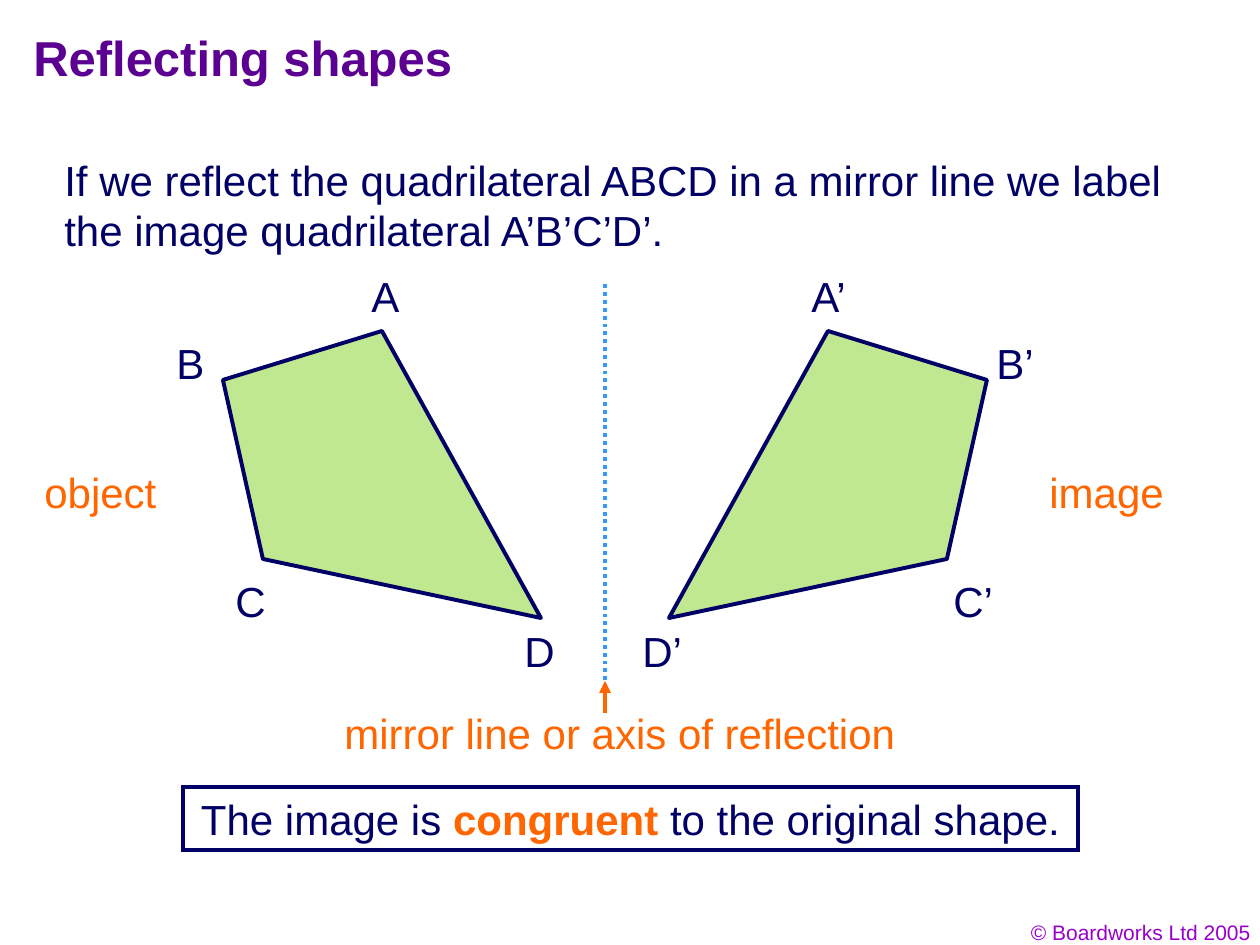
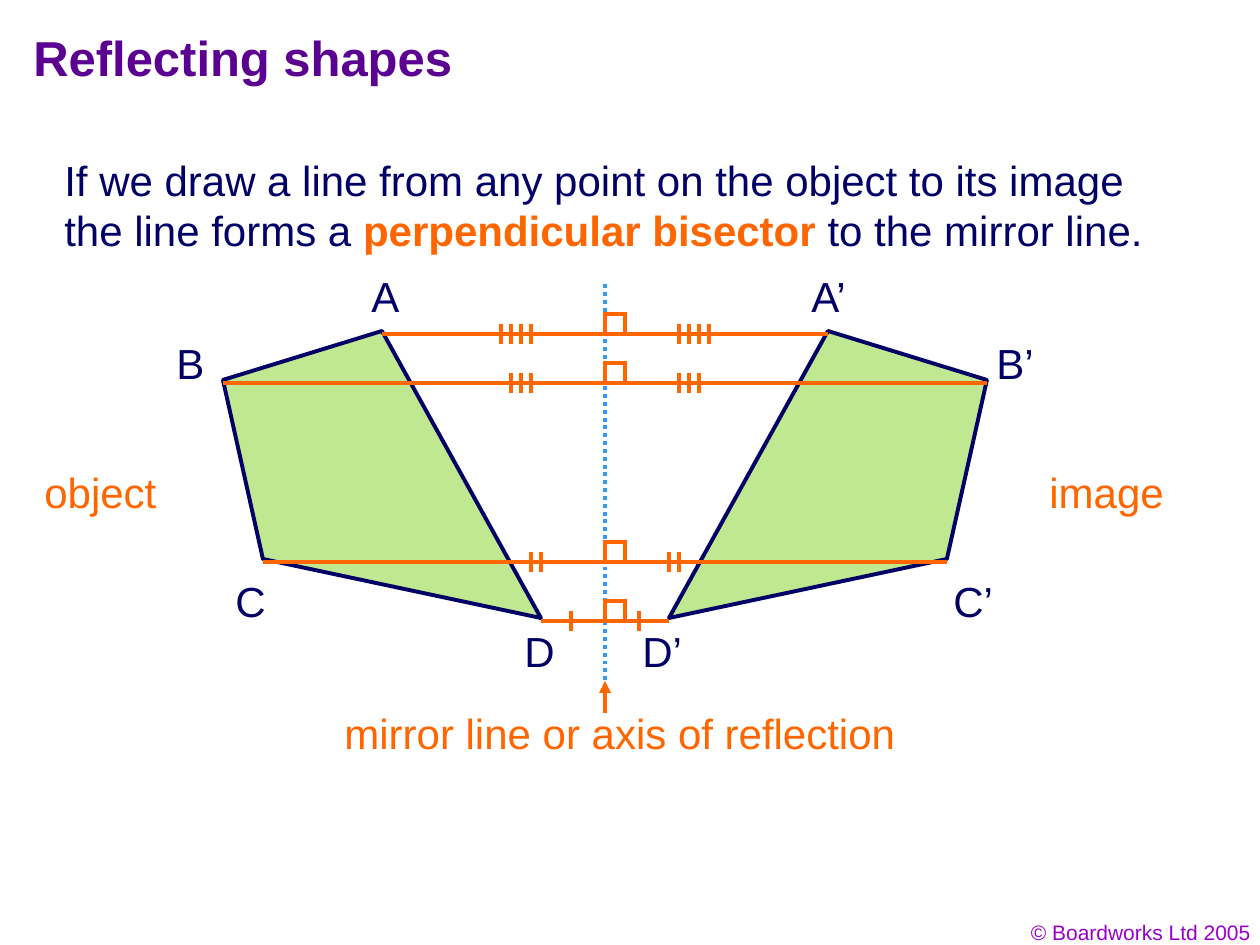
from dataclasses import dataclass

from lxml import etree
from pptx import Presentation
from pptx.dml.color import RGBColor
from pptx.enum import dml, shapes, text
from pptx.oxml import ns
from pptx.util import Emu, Pt

TITLE = "Reflecting shapes"
FOOTER = "© Boardworks Ltd 2005"
REFLECTING = ["If we reflect the quadrilateral ABCD in a mirror line we label "
              "the image quadrilateral A’B’C’D’."]
BISECTING = ["If we draw a line from any point on the object to its image the line forms a ",
             ("perpendicular bisector",), " to the mirror line."]
CONGRUENT = ["The image is ", ("congruent",), " to the original shape."]

VERTICES = {"A": (382, 331), "B": (223, 380), "C": (263, 559), "D": (541, 618)}
VERTEX_LABELS = [
    ("A", (359, 264, 56, 63)), ("B", (164, 331, 56, 63)),
    ("C", (223, 569, 58, 63)), ("D", (512, 619, 58, 63)),
    ("A’", (799, 264, 68, 63)), ("B’", (984, 331, 68, 63)),
    ("C’", (941, 569, 70, 63)), ("D’", (630, 619, 70, 63)),
]
PART_LABELS = [
    ("object", (32, 460, 140, 63)),
    ("image", (1037, 460, 142, 63)),
    ("mirror line or axis of reflection", (332, 701, 578, 63)),
]
BISECTORS = {"A": (4, 531), "B": (3, 531), "C": (2, 541), "D": (1, 571)}

SLIDE_SIZE = (1260, 945)
TITLE_BOX = (21, 21, 1071, 84)
BODY_BOX = (52, 148, 1144, 113)
CONGRUENT_BOX = (183, 787, 895, 63)
FOOTER_BOX = (969, 913, 294, 38)
MIRROR_X = 605
MIRROR_TOP, MIRROR_BOTTOM = 281, 688
ARROW_TOP, ARROW_BOTTOM = 681, 713
BISECTOR_DROP = 3
TICK_GAP = 10
TICK_REACH = 10
SQUARE_SIDE = 20
EMU_PER_PX = 914400 / 126


@dataclass(frozen=True)
class Theme:
    font: str = "Arial"
    title: str = "5B0091"
    body: str = "010066"
    accent: str = "FF6600"
    footer: str = "9900CC"
    outline: str = "000066"
    fill: str = "C0E890"
    mirror: str = "3399FF"
    title_size: int = 28
    body_size: int = 24
    footer_size: int = 12
    line_width: float = 2.25


THEME = Theme()


def px(length):
    return Emu(round(length * EMU_PER_PX))


def rgb(color):
    return RGBColor.from_string(color)


def style_line(line, color):
    line.color.rgb = rgb(color)
    line.width = Pt(THEME.line_width)


def add_text(page, box, spans, size=THEME.body_size, color=THEME.body, bold=False,
             align=text.PP_ALIGN.LEFT, wrap=True, grow=True, outline=None):
    if outline:
        shape = add_rectangle(page, box, outline)
    else:
        shape = page.shapes.add_textbox(*[px(length) for length in box])
    frame = shape.text_frame
    frame.word_wrap = wrap
    frame.vertical_anchor = text.MSO_ANCHOR.TOP
    frame.auto_size = text.MSO_AUTO_SIZE.SHAPE_TO_FIT_TEXT if grow else text.MSO_AUTO_SIZE.NONE
    para = frame.paragraphs[0]
    para.alignment = align
    for part in [spans] if isinstance(spans, str) else spans:
        emphasis = isinstance(part, tuple)
        span = para.add_run()
        span.text = part[0] if emphasis else part
        span.font.name = THEME.font
        span.font.size = Pt(size)
        span.font.bold = bold or emphasis
        span.font.color.rgb = rgb(THEME.accent if emphasis else color)
    return shape


def add_rectangle(page, box, color):
    shape = page.shapes.add_shape(shapes.MSO_SHAPE.RECTANGLE, *[px(length) for length in box])
    shape.shadow.inherit = False
    shape.fill.background()
    style_line(shape.line, color)
    outline = shape._element.spPr.find(ns.qn("a:ln"))
    etree.SubElement(outline, ns.qn("a:miter"), lim="800000")
    return shape


def add_line(page, start, end, color=THEME.accent, dash=None, arrow=False):
    line = page.shapes.add_connector(
        shapes.MSO_CONNECTOR.STRAIGHT, *[px(length) for length in (*start, *end)])
    style_line(line.line, color)
    if dash:
        line.line.dash_style = dash
    properties = line._element.spPr
    if arrow:
        outline = properties.find(ns.qn("a:ln"))
        etree.SubElement(outline, ns.qn("a:tailEnd"), type="triangle")
    etree.SubElement(properties, ns.qn("a:effectLst"))
    return line


def reflect(x):
    return 2 * MIRROR_X - x


def add_quadrilateral(page, points):
    builder = page.shapes.build_freeform(*points[0], scale=EMU_PER_PX)
    builder.add_line_segments(points[1:], close=True)
    shape = builder.convert_to_shape()
    shape.shadow.inherit = False
    shape.fill.solid()
    shape.fill.fore_color.rgb = rgb(THEME.fill)
    style_line(shape.line, THEME.outline)


def add_reflection(page):
    add_line(page, (MIRROR_X, MIRROR_BOTTOM), (MIRROR_X, MIRROR_TOP),
             color=THEME.mirror, dash=dml.MSO_LINE.ROUND_DOT)
    points = list(VERTICES.values())
    add_quadrilateral(page, points)
    add_quadrilateral(page, [(reflect(x), y) for x, y in points])
    for label, box in VERTEX_LABELS:
        add_text(page, box, label, wrap=False, grow=False)
    for label, box in PART_LABELS:
        add_text(page, box, label, color=THEME.accent, wrap=False, grow=False)
    add_line(page, (MIRROR_X, ARROW_BOTTOM), (MIRROR_X, ARROW_TOP), arrow=True)


def add_bisectors(page):
    for vertex, (ticks, inner_tick) in BISECTORS.items():
        x, vertex_y = VERTICES[vertex]
        y = vertex_y + BISECTOR_DROP
        add_line(page, (x, y), (reflect(x), y))
        add_rectangle(page, (MIRROR_X, y - SQUARE_SIDE, SQUARE_SIDE, SQUARE_SIDE), THEME.accent)
        for index in range(ticks):
            left = inner_tick - index * TICK_GAP
            for tick in (left, reflect(left)):
                add_line(page, (tick, y - TICK_REACH), (tick, y + TICK_REACH))


def add_page(deck, body):
    page = deck.slides.add_slide(deck.slide_layouts[6])
    add_text(page, FOOTER_BOX, FOOTER, size=THEME.footer_size, color=THEME.footer,
             align=text.PP_ALIGN.RIGHT)
    add_text(page, TITLE_BOX, TITLE, size=THEME.title_size, color=THEME.title,
             bold=True, grow=False)
    add_text(page, BODY_BOX, body)
    add_reflection(page)
    return page


def main():
    deck = Presentation()
    deck.slide_width, deck.slide_height = [px(length) for length in SLIDE_SIZE]
    reflecting_page = add_page(deck, REFLECTING)
    add_text(reflecting_page, CONGRUENT_BOX, CONGRUENT, align=text.PP_ALIGN.CENTER,
             outline=THEME.outline)
    add_bisectors(add_page(deck, BISECTING))
    deck.save("out.pptx")


if __name__ == "__main__":
    main()
